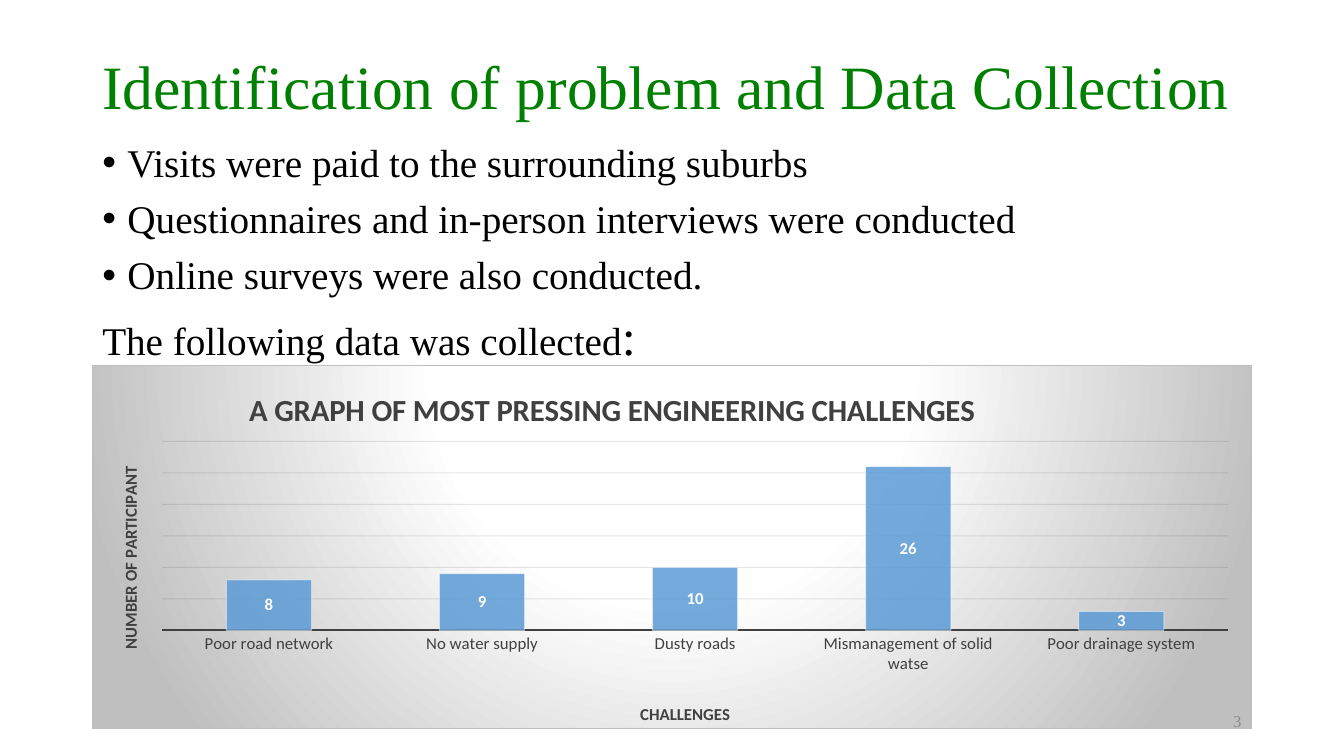
from lxml import etree
from pptx import Presentation
from pptx import util as u
from pptx.chart import data as chart_data
from pptx.dml import color
from pptx.enum import chart as ch, text as tx
from pptx.oxml import parse_xml, ns

Pt = u.Pt
COLORS = {
    "title": "008000", "body": "000000", "number": "8C8C8C",
    "label": "404040", "grid": "0D0D0D", "bar": "5B9BD5",
    "white": "FFFFFF", "edge": "BFBFBF",
}
SERIF, SANS = "Times New Roman", "Calibri"
LEFT, WIDTH = 66, 828
FINDINGS = [
    "Visits were paid to the surrounding suburbs",
    "Questionnaires and in-person interviews were conducted",
    "Online surveys were also conducted.",
]
CHALLENGES = {
    "Poor road network": 8,
    "No water supply": 9,
    "Dusty roads": 10,
    "Mismanagement of solid watse": 26,
    "Poor drainage system": 3,
}


def rgb(name):
    return color.RGBColor.from_string(COLORS[name])


def style(font, size, fill, face=SANS, bold=False):
    font.size, font.name, font.bold = Pt(size), face, bold
    font.color.rgb = rgb(fill)


def write(paragraph, words, **look):
    run = paragraph.add_run()
    run.text = words
    style(run.font, **look)


def text_frame(slide, box, anchor=tx.MSO_ANCHOR.TOP):
    frame = slide.shapes.add_textbox(*map(Pt, box)).text_frame
    frame.word_wrap = True
    frame.vertical_anchor = anchor
    return frame


def heading(slide, box):
    line = text_frame(slide, box, tx.MSO_ANCHOR.MIDDLE).paragraphs[0]
    line.line_spacing = 0.9
    write(line, "Identification of problem and Data Collection",
          size=44, fill="title", face=SERIF)


def bullet(paragraph):
    props = paragraph._p.get_or_add_pPr()
    props.set("marL", str(Pt(18)))
    props.set("indent", str(Pt(-18)))
    font = etree.SubElement(props, ns.qn("a:buFont"))
    font.set("typeface", "Arial")
    etree.SubElement(props, ns.qn("a:buChar")).set("char", "•")


def findings(slide, box):
    frame = text_frame(slide, box)
    for i, words in enumerate(FINDINGS + ["The following data was collected"]):
        line = frame.add_paragraph() if i else frame.paragraphs[0]
        if i < len(FINDINGS):
            bullet(line)
        line.line_spacing = 0.9
        if i:
            line.space_before = Pt(10)
        write(line, words, size=28, fill="body", face=SERIF)
    write(line, ":", size=36, fill="body", face=SERIF)


def set_alpha(fill_owner, percent):
    for tint in fill_owner.iter(ns.qn("a:srgbClr")):
        etree.SubElement(tint, ns.qn("a:alpha")).set("val", str(percent * 1000))


def manual_layout(parent, after, **spots):
    for old in parent.findall(ns.qn("c:layout")):
        parent.remove(old)
    layout = etree.Element(ns.qn("c:layout"))
    manual = etree.SubElement(layout, ns.qn("c:manualLayout"))
    for tag, value in spots.items():
        etree.SubElement(manual, ns.qn("c:" + tag)).set("val", str(value))
    if after is None:
        parent.insert(0, layout)
    else:
        after.addnext(layout)


def caption(title, words, size, x, y):
    write(title.text_frame.paragraphs[0], words, size=size, fill="label", bold=True)
    element = title._element
    manual_layout(element, element.find(ns.qn("c:tx")),
                  xMode="edge", yMode="edge", x=x, y=y)


def background(chart):
    stops = "".join(
        f'<a:gs pos="{at * 1000}"><a:srgbClr val="{COLORS[name]}"/></a:gs>'
        for at, name in ((0, "white"), (39, "white"), (100, "edge")))
    look = parse_xml(
        f'<c:spPr {ns.nsdecls("c", "a")}><a:gradFill rotWithShape="1">'
        f'<a:gsLst>{stops}</a:gsLst><a:path path="circle">'
        '<a:fillToRect l="50000" t="-80000" r="50000" b="180000"/></a:path>'
        f'</a:gradFill><a:ln w="{Pt(0.75)}"><a:solidFill>'
        f'<a:srgbClr val="{COLORS["edge"]}"/></a:solidFill></a:ln></c:spPr>')
    chart._chartSpace.find(ns.qn("c:chart")).addnext(look)


def challenges_chart(slide, box):
    data = chart_data.CategoryChartData()
    data.categories = list(CHALLENGES)
    data.add_series("Series 1", list(CHALLENGES.values()))
    chart = slide.shapes.add_chart(
        ch.XL_CHART_TYPE.COLUMN_STACKED, *map(Pt, box), data).chart
    style(chart.font, 10, "body")
    chart.has_legend = False
    background(chart)
    caption(chart.chart_title, "A GRAPH OF MOST PRESSING ENGINEERING CHALLENGES",
            22, 0.13, 0.05)

    kinds = chart.category_axis
    kinds.major_tick_mark = ch.XL_TICK_MARK.NONE
    style(kinds.tick_labels.font, 12, "label")
    kinds.format.line.color.rgb = rgb("label")
    kinds.format.line.width = Pt(1.5)
    caption(kinds.axis_title, "CHALLENGES", 12, 0.47, 0.92)

    people = chart.value_axis
    people.minimum_scale, people.maximum_scale, people.major_unit = 0, 30, 5
    people.has_major_gridlines = True
    grid = people.major_gridlines
    grid.format.line.color.rgb = rgb("grid")
    grid.format.line.width = Pt(0.75)
    set_alpha(people._element.find(ns.qn("c:majorGridlines")), 10)
    caption(people.axis_title, "NUMBER OF PARTICIPANT", 12, 0.02, 0.27)
    turn = people.axis_title.text_frame._txBody.find(ns.qn("a:bodyPr"))
    turn.set("rot", "-5400000")
    turn.set("vert", "horz")
    people.visible = False

    plot = chart.plots[0]
    plot.gap_width, plot.overlap, plot.vary_by_categories = 150, 100, False
    bars = plot.series[0]
    bars.format.fill.solid()
    bars.format.fill.fore_color.rgb = rgb("bar")
    set_alpha(bars._element.find(ns.qn("c:spPr")), 85)
    bars.format.line.color.rgb = rgb("white")
    bars.format.line.width = Pt(0.75)
    set_alpha(bars._element.find(ns.qn("c:spPr")).find(ns.qn("a:ln")), 50)
    counts = bars.data_labels
    counts.show_value = True
    counts.position = ch.XL_LABEL_POSITION.CENTER
    style(counts.font, 12, "white", bold=True)
    manual_layout(chart._chartSpace.find(".//" + ns.qn("c:plotArea")), None,
                  layoutTarget="inner", xMode="edge", yMode="edge",
                  x=0.06, y=0.21, w=0.92, h=0.52)


def page_number(slide, box):
    line = text_frame(slide, box, tx.MSO_ANCHOR.MIDDLE).paragraphs[0]
    line.alignment = tx.PP_ALIGN.RIGHT
    write(line, "3", size=12, fill="number", face=SERIF)


def main():
    deck = Presentation()
    deck.slide_width, deck.slide_height = Pt(960), Pt(540)
    slide = deck.slides.add_slide(deck.slide_layouts[6])
    heading(slide, (LEFT, 28.75, WIDTH, 70))
    findings(slide, (LEFT, 98.75, WIDTH, 408))
    challenges_chart(slide, (LEFT, 260.5, WIDTH, 260.5))
    page_number(slide, (LEFT + WIDTH - 216, 500.5, 216, 28.75))
    deck.save("out.pptx")


if __name__ == "__main__":
    main()
